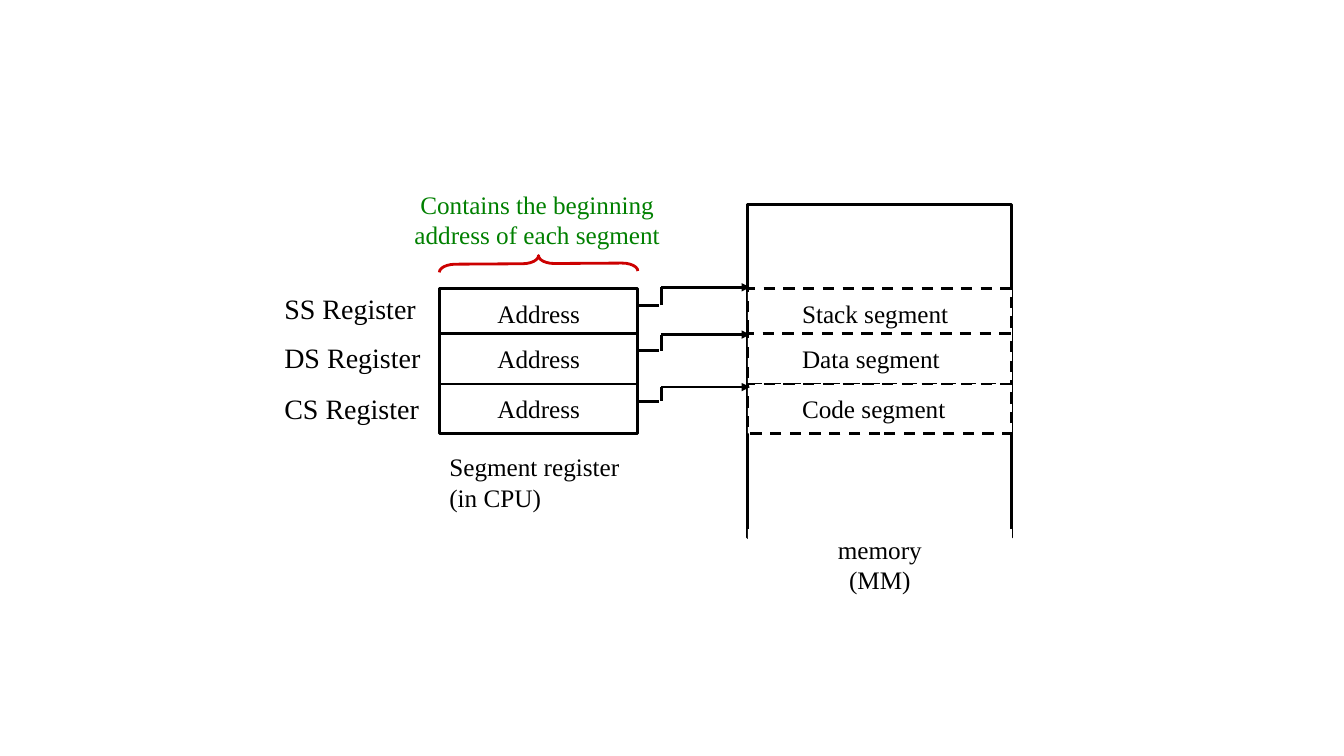
from lxml.etree import SubElement
from pptx import Presentation
from pptx.dml.color import RGBColor
from pptx.enum.dml import MSO_LINE
from pptx.enum.shapes import MSO_CONNECTOR, MSO_SHAPE
from pptx.enum.text import MSO_ANCHOR, PP_ALIGN
from pptx.oxml.ns import qn
from pptx.util import Pt

# Content: register, segment, row top, row height, arrow height, label top
ROWS = [
    ("SS Register", "Stack segment", 205.9, 35.3, 205.2, 204.5),
    ("DS Register", "Data segment", 238.3, 36, 239, 239.8),
    ("CS Register", "Code segment", 274.3, 35.3, 276.5, 275.8),
]
CELL_TEXT = "Address"
HEADING = ["Contains the beginning address of each segment"]
CPU_CAPTION = ["Segment register", "(in CPU)"]
MEMORY_CAPTION = ["memory", "(MM)"]

COLORS = {"ink": "000000", "paper": "FFFFFF", "note": "008000", "brace": "CC0000"}
FONT = "Times New Roman"
CPU_LEFT, CPU_WIDTH = 313.9, 141.8
MEMORY_LEFT, MEMORY_WIDTH = 534.2, 188.6
LABEL_LEFT, LABEL_WIDTH, LABEL_HEIGHT = 196, 116, 31
STUB_DROP, STUB_END, BEND = 12.25, 470.9, 472.3
SEGMENT_INSET = 38.7


def color(name):
    return RGBColor.from_string(COLORS[name])


def write(box, lines, size=18, ink="ink", align=PP_ALIGN.LEFT,
          anchor=MSO_ANCHOR.TOP, wrap=True, inset=7.2):
    frame = box.text_frame
    frame.word_wrap = wrap
    frame.vertical_anchor = anchor
    frame.margin_left = Pt(inset)
    for number, line in enumerate(lines):
        para = frame.add_paragraph() if number else frame.paragraphs[0]
        para.alignment = align
        span = para.add_run()
        span.text = line
        span.font.name = FONT
        span.font.size = Pt(size)
        span.font.color.rgb = color(ink)


def add_box(left, top, width, height, line="ink", fill="paper",
            kind=MSO_SHAPE.RECTANGLE, dashed=False):
    box = page.shapes.add_shape(kind, Pt(left), Pt(top), Pt(width), Pt(height))
    box.shadow.inherit = False
    if fill:
        box.fill.solid()
        box.fill.fore_color.rgb = color(fill)
    else:
        box.fill.background()
    if line:
        box.line.color.rgb = color(line)
        box.line.width = Pt(2)
        if dashed:
            box.line.dash_style = MSO_LINE.DASH
    else:
        box.line.fill.background()
    return box


def add_line(x1, y1, x2, y2, arrow=False):
    line = page.shapes.add_connector(
        MSO_CONNECTOR.STRAIGHT, Pt(x1), Pt(y1), Pt(x2), Pt(y2))
    line.line.color.rgb = color("ink")
    line.line.width = Pt(2)
    if arrow:
        SubElement(line.line._get_or_add_ln(), qn("a:tailEnd"), type="triangle")
    SubElement(line._element.spPr, qn("a:effectLst"))


deck = Presentation()
deck.slide_width, deck.slide_height = Pt(960), Pt(540)
page = deck.slides.add_slide(deck.slide_layouts[6])

# Memory outline
add_box(MEMORY_LEFT, 146.2, MEMORY_WIDTH, 237.6)

# Register cells and memory segments
for register, segment, top, height, arrow_y, label_top in ROWS:
    cell = add_box(CPU_LEFT, top, CPU_WIDTH, height)
    write(cell, [CELL_TEXT], align=PP_ALIGN.CENTER, anchor=MSO_ANCHOR.MIDDLE)
    part = add_box(MEMORY_LEFT, top, MEMORY_WIDTH, height, dashed=True)
    write(part, [segment], anchor=MSO_ANCHOR.MIDDLE, inset=SEGMENT_INSET)

# Heading and brace
heading = add_box(273.6, 131.8, 220.3, 41.8, line=None)
write(heading, HEADING, ink="note", align=PP_ALIGN.CENTER)
brace = add_box(378.9, 117.4, 11.5, CPU_WIDTH, line="brace", fill=None,
                kind=MSO_SHAPE.LEFT_BRACE)
brace.rotation = 89.6
brace.adjustments[0] = 0.99

# Captions
write(add_box(CPU_LEFT, 319, CPU_WIDTH, 71.3, line=None), CPU_CAPTION)
write(add_box(MEMORY_LEFT, 378, MEMORY_WIDTH, 47.5, line=None),
      MEMORY_CAPTION, align=PP_ALIGN.CENTER)

# Stepped arrows and register names
for register, segment, top, height, arrow_y, label_top in ROWS:
    stub_y = top + STUB_DROP
    add_line(CPU_LEFT + CPU_WIDTH, stub_y, STUB_END, stub_y)
    add_line(BEND, stub_y, BEND, arrow_y)
    add_line(BEND, arrow_y, MEMORY_LEFT + 1.5, arrow_y, arrow=True)
    label = page.shapes.add_textbox(
        Pt(LABEL_LEFT), Pt(label_top), Pt(LABEL_WIDTH), Pt(LABEL_HEIGHT))
    write(label, [register], size=20, wrap=False)

deck.save("out.pptx")
